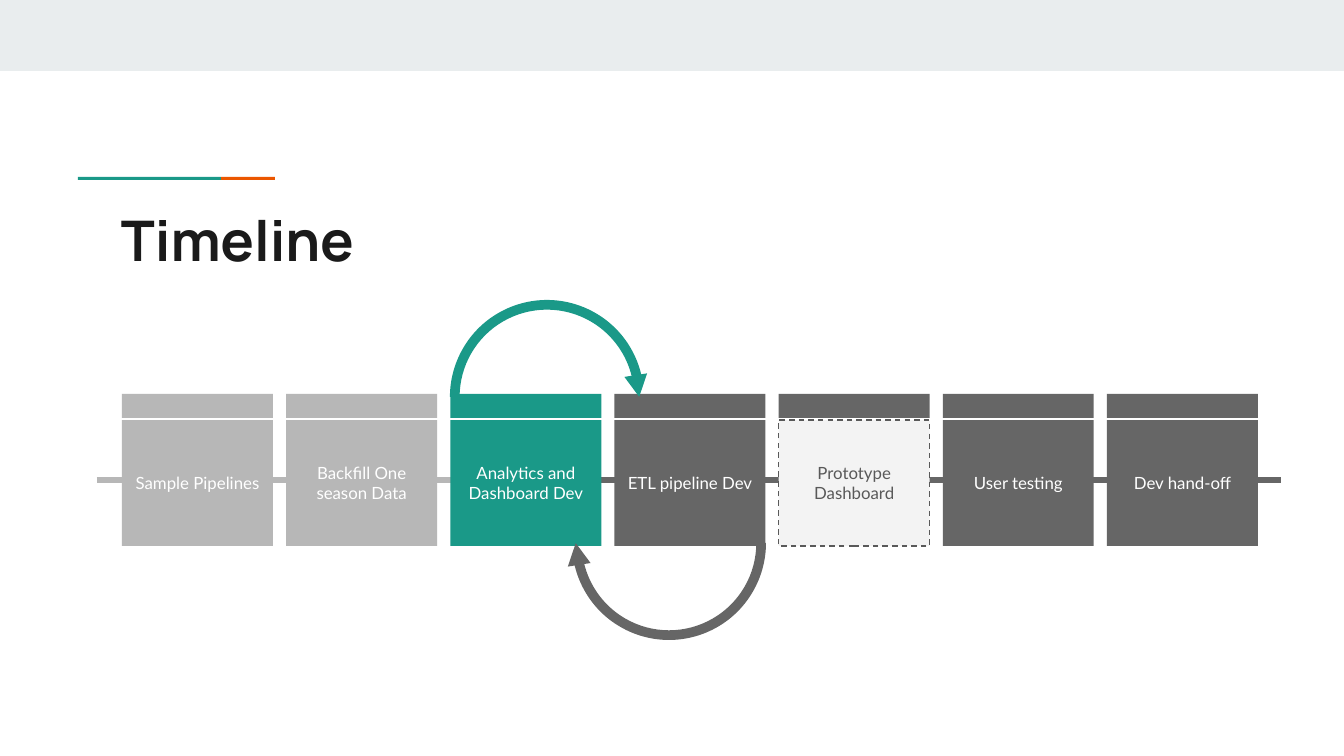
from dataclasses import dataclass

from lxml import etree
from pptx import Presentation
from pptx.dml.color import RGBColor
from pptx.enum.dml import MSO_LINE
from pptx.enum.shapes import MSO_CONNECTOR, MSO_SHAPE
from pptx.enum.text import MSO_ANCHOR, PP_ALIGN
from pptx.oxml.ns import qn
from pptx.util import Pt

RECT, ARC, TRIANGLE = MSO_SHAPE.RECTANGLE, MSO_SHAPE.BLOCK_ARC, MSO_SHAPE.ISOSCELES_TRIANGLE
STRAIGHT, DASH = MSO_CONNECTOR.STRAIGHT, MSO_LINE.DASH
TOP, MIDDLE = MSO_ANCHOR.TOP, MSO_ANCHOR.MIDDLE
LEFT, CENTER = PP_ALIGN.LEFT, PP_ALIGN.CENTER


@dataclass(frozen=True)
class Theme:
    band: str = "E9EDEE"
    teal: str = "1A9988"
    orange: str = "EB5600"
    done: str = "B7B7B7"
    planned: str = "666666"
    draft: str = "F3F3F3"
    draft_ink: str = "595959"
    title_ink: str = "1A1A1A"
    white: str = "FFFFFF"
    title_font: str = "Manrope"
    body_font: str = "Lato"
    title_size: int = 30
    body_size: int = 9


THEME = Theme()

# Content: label, header colour, body colour, text colour, dashed outline
TITLE = "Timeline"
STAGES = [
    ("Sample Pipelines", THEME.done, THEME.done, THEME.white, False),
    ("Backfill One season Data", THEME.done, THEME.done, THEME.white, False),
    ("Analytics and Dashboard Dev", THEME.teal, THEME.teal, THEME.white, False),
    ("ETL pipeline Dev", THEME.planned, THEME.planned, THEME.white, False),
    ("Prototype Dashboard", THEME.planned, THEME.draft, THEME.draft_ink, True),
    ("User testing", THEME.planned, THEME.planned, THEME.white, False),
    ("Dev hand-off", THEME.planned, THEME.planned, THEME.white, False),
]
# Track: from x, to x, colour
TRACKS = [(598, 1281, THEME.planned), (97, 570, THEME.done)]
# Loop: arc corner, arrowhead corner, turn, colour
LOOPS = [
    ((450, 300), (626, 375), 0, THEME.teal),
    ((572, 446), (566, 543), 180, THEME.planned),
]

# Layout in px
SLIDE_W, SLIDE_H = 1344, 756
ROW_LEFT, ROW_RIGHT, CARD_W = 122, 1258, 151
STEP = (ROW_RIGHT - ROW_LEFT - CARD_W) / (len(STAGES) - 1)
HEADER_Y, HEADER_H = 394, 24
BODY_Y, BODY_H = 420, 126
TRACK_Y = 480
LOOP_SIZE, HEAD_W, HEAD_H, HEAD_TURN = 194, 23, 22, 171.1
ARC_ADJUSTMENTS = (108, 211.46, 0.05)
INSET = 13
EMU_PER_PX = 914400 / 134.4


def px(length):
    return round(length * EMU_PER_PX)


def rgb(colour):
    return RGBColor.from_string(colour)


def add_block(slide, kind, box, colour, turn=0):
    block = slide.shapes.add_shape(kind, *map(px, box))
    block.shadow.inherit = False
    block.fill.solid()
    block.fill.fore_color.rgb = rgb(colour)
    block.line.fill.background()
    block.rotation = turn
    return block


def write(holder, text, font, size, colour, anchor, align, bold=False):
    frame = holder.text_frame
    frame.word_wrap = True
    frame.vertical_anchor = anchor
    frame.margin_left = frame.margin_right = px(INSET)
    frame.margin_top = frame.margin_bottom = px(INSET)
    paragraph = frame.paragraphs[0]
    paragraph.alignment = align
    run = paragraph.add_run()
    run.text = text
    run.font.name, run.font.size, run.font.bold = font, Pt(size), bold
    run.font.color.rgb = rgb(colour)


def add_track(slide, start, end, colour):
    track = slide.shapes.add_connector(
        STRAIGHT, px(start), px(TRACK_Y), px(end), px(TRACK_Y))
    track.line.color.rgb = rgb(colour)
    track.line.width = Pt(3)
    etree.SubElement(track._element.spPr, qn("a:effectLst"))


def add_stage(slide, index, stage):
    label, header_colour, body_colour, ink, dashed = stage
    left = ROW_LEFT + index * STEP
    body = add_block(slide, RECT, (left, BODY_Y, CARD_W, BODY_H), body_colour)
    if dashed:
        body.line.color.rgb = rgb(ink)
        body.line.width = Pt(0.75)
        body.line.dash_style = DASH
    write(body, label, THEME.body_font, THEME.body_size, ink, MIDDLE, CENTER)
    add_block(slide, RECT, (left, HEADER_Y, CARD_W, HEADER_H), header_colour)


def add_loop(slide, arc_corner, head_corner, turn, colour):
    arc = add_block(slide, ARC, (*arc_corner, LOOP_SIZE, LOOP_SIZE), colour, turn)
    for i, value in enumerate(ARC_ADJUSTMENTS):
        arc.adjustments[i] = value
    add_block(slide, TRIANGLE, (*head_corner, HEAD_W, HEAD_H), colour, turn + HEAD_TURN)


def main():
    deck = Presentation()
    deck.slide_width, deck.slide_height = px(SLIDE_W), px(SLIDE_H)
    slide = deck.slides.add_slide(deck.slide_layouts[6])

    # Top band and accent rule
    add_block(slide, RECT, (0, 0, SLIDE_W, 71), THEME.band)
    add_block(slide, RECT, (221, 177, 54, 3), THEME.orange)
    add_block(slide, RECT, (78, 177, 143, 3), THEME.teal)

    # Tracks behind the cards
    for track in TRACKS:
        add_track(slide, *track)

    # Title
    title = slide.shapes.add_textbox(*map(px, (108, 192, 1130, 79)))
    write(title, TITLE, THEME.title_font, THEME.title_size, THEME.title_ink,
          TOP, LEFT, bold=True)

    # Stage cards
    for index, stage in enumerate(STAGES):
        add_stage(slide, index, stage)

    # Feedback loops
    for loop in LOOPS:
        add_loop(slide, *loop)

    deck.save("out.pptx")


if __name__ == "__main__":
    main()
